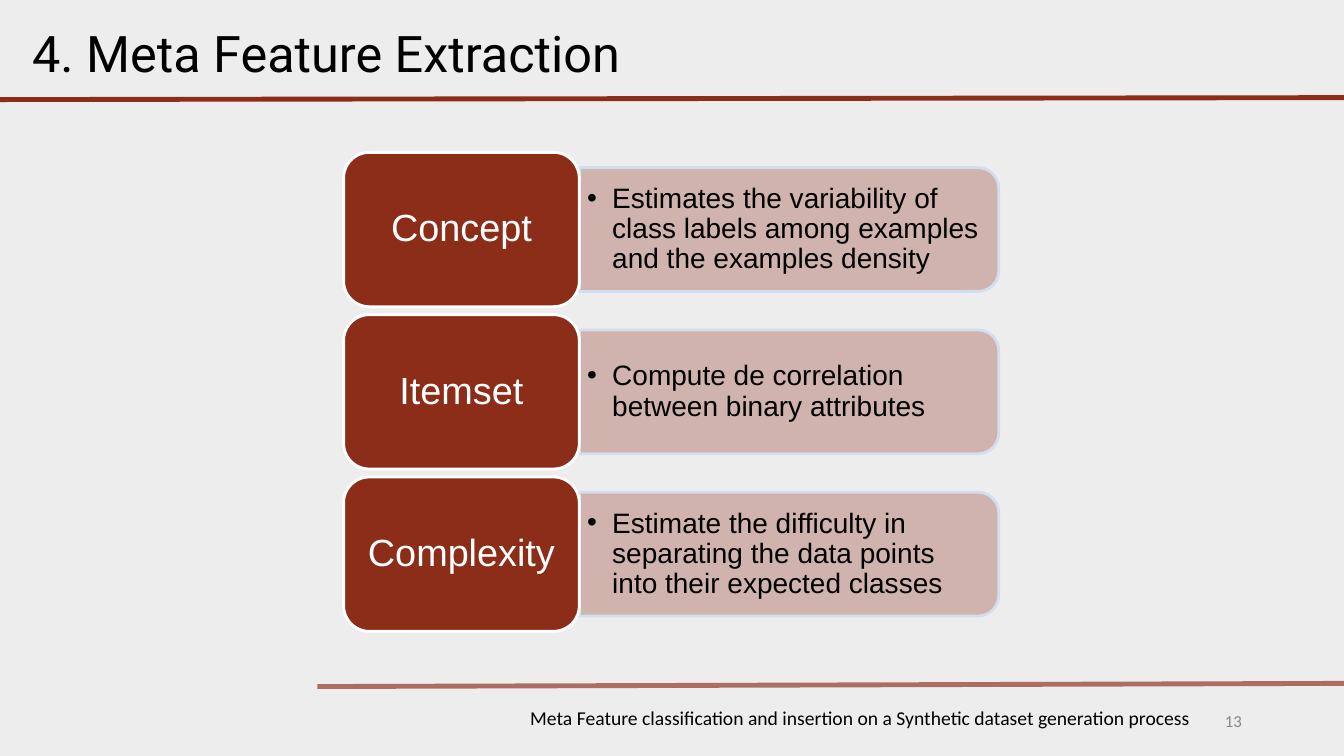
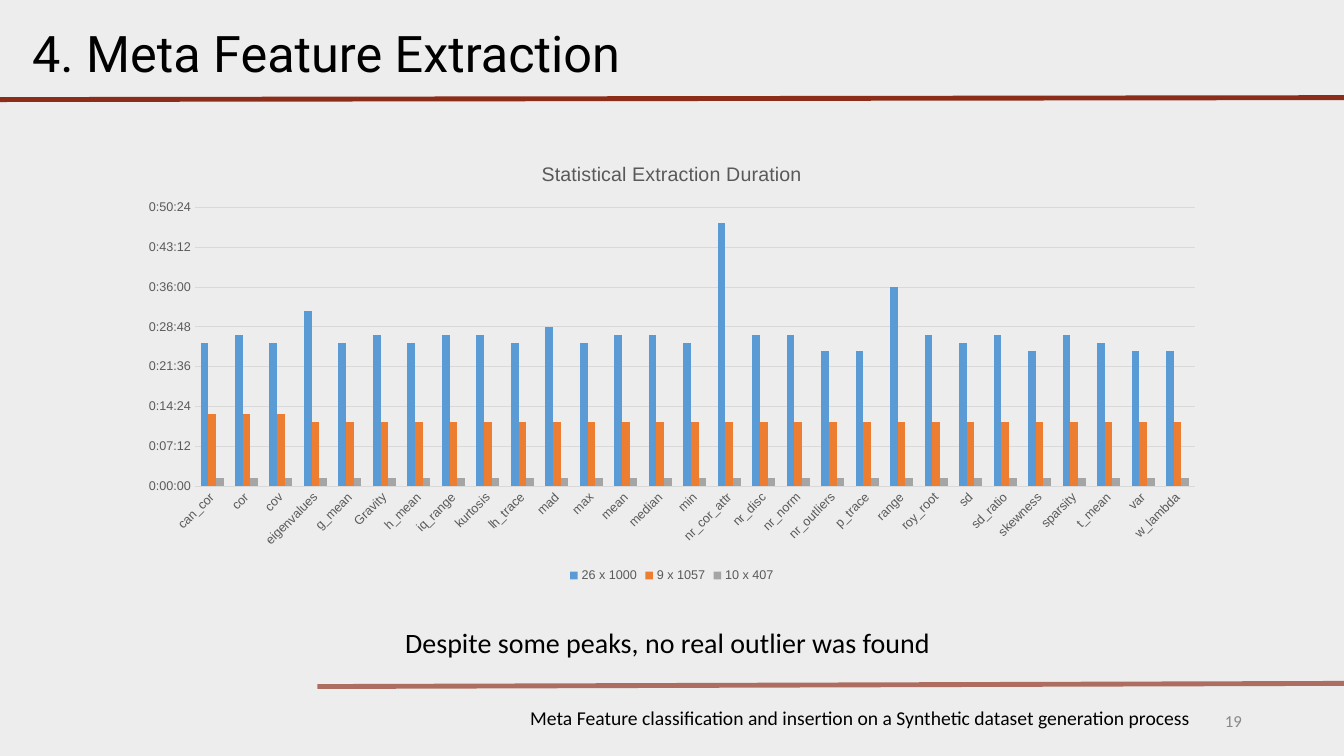
from dataclasses import dataclass
from typing import NamedTuple

from lxml.etree import SubElement
from pptx import Presentation
from pptx.chart.data import CategoryChartData
from pptx.dml.color import RGBColor as Rgb
from pptx.enum.chart import XL_CHART_TYPE as ChartType, XL_LEGEND_POSITION as LegendPosition
from pptx.enum.chart import XL_TICK_MARK as TickMark
from pptx.enum.shapes import MSO_CONNECTOR as Connector, MSO_SHAPE as Shape
from pptx.enum.text import MSO_ANCHOR as Anchor, MSO_AUTO_SIZE as AutoSize, PP_ALIGN as Align
from pptx.oxml.ns import qn
from pptx.util import Cm, Pt


@dataclass(frozen=True)
class Theme:
    """Colours, fonts and type sizes of the deck."""
    paper: str = "EDEDED"
    brick: str = "8C2D19"
    ink: str = "000000"
    white: str = "FFFFFF"
    pale_blue: str = "D2DEEF"
    muted: str = "888888"
    chart_text: str = "595959"
    grid: str = "D9D9D9"
    series: tuple = ("5B9BD5", "ED7D31", "A5A5A5")
    heading_font: str = "Roboto"
    body_font: str = "Calibri"
    diagram_font: str = "Arial"
    heading: int = 36
    card: int = 27
    body: int = 20
    footer: int = 14
    chart_title: int = 14
    number: int = 12
    chart_label: int = 9
    rule: float = 3.5
    outline: float = 2


class Box(NamedTuple):
    """A region in centimetres."""
    left: float
    top: float
    width: float
    height: float

    def lengths(self):
        """Return the four sides as slide lengths."""
        return [Cm(side) for side in self]


THEME = Theme()
SLIDE = Box(0, 0, 33.87, 19.05)
HEADING = "4. Meta Feature Extraction"
FOOTER = "Meta Feature classification and insertion on a Synthetic dataset generation process"
GROUPS = (
    ("Concept", "Estimates the variability of class labels among examples and the examples density"),
    ("Itemset", "Compute de correlation between binary attributes"),
    ("Complexity", "Estimate the difficulty in separating the data points into their expected classes"),
)
MEASURES = (
    "can_cor cor cov eigenvalues g_mean Gravity h_mean iq_range kurtosis lh_trace mad max mean "
    "median min nr_cor_attr nr_disc nr_norm nr_outliers p_trace range roy_root sd sd_ratio "
    "skewness sparsity t_mean var w_lambda"
).split()
DURATIONS = {
    "26 x 1000": (
        0.018, 0.019, 0.018, 0.022, 0.018, 0.019, 0.018, 0.019, 0.019, 0.018,
        0.02, 0.018, 0.019, 0.019, 0.018, 0.033, 0.019, 0.019, 0.017, 0.017,
        0.025, 0.019, 0.018, 0.019, 0.017, 0.019, 0.018, 0.017, 0.017),
    "9 x 1057": [0.009] * 3 + [0.008] * 26,
    "10 x 407": [0.001] * 29,
}


def assign(target, **formats):
    """Set each format value on the target."""
    for name, value in formats.items():
        setattr(target, name, value)


def style_font(font, face, size, color):
    """Set face, size and colour of a font."""
    assign(font, name=face, size=Pt(size), bold=False)
    font.color.rgb = Rgb.from_string(color)


def style_line(line, color, width):
    """Set colour and width of a line."""
    line.color.rgb = Rgb.from_string(color)
    line.width = Pt(width)


def fade(properties, percent):
    """Make the first solid colour below the properties translucent."""
    color = next(properties.iter(qn("a:srgbClr")))
    SubElement(color, qn("a:alpha"), val=str(percent * 1000))


def write(shape, text, face, size, color, align=Align.LEFT, anchor=Anchor.TOP,
          margins=(0.25, 0.13), spacing=1.0, bullet_indent=0):
    """Write one formatted paragraph into a shape."""
    frame = shape.text_frame
    side, edge = (Cm(margin) for margin in margins)
    assign(frame, text=text, word_wrap=True, auto_size=AutoSize.NONE, vertical_anchor=anchor,
           margin_left=side, margin_right=side, margin_top=edge, margin_bottom=edge)
    paragraph = frame.paragraphs[0]
    assign(paragraph, alignment=align, line_spacing=spacing)
    if bullet_indent:
        properties = paragraph._p.get_or_add_pPr()
        properties.set("marL", str(Cm(bullet_indent)))
        properties.set("indent", str(-Cm(bullet_indent)))
        SubElement(properties, qn("a:buFont"), typeface="Arial")
        SubElement(properties, qn("a:buChar"), char="•")
    style_font(paragraph.runs[0].font, face, size, color)


def add_text(slide, box, text, *style, **layout):
    """Add a text box with one paragraph."""
    write(slide.shapes.add_textbox(*box.lengths()), text, *style, **layout)


def add_panel(slide, kind, box, fill, outline):
    """Add a filled and outlined shape."""
    panel = slide.shapes.add_shape(kind, *box.lengths())
    panel.shadow.inherit = False
    panel.fill.solid()
    panel.fill.fore_color.rgb = Rgb.from_string(fill)
    style_line(panel.line, outline, THEME.outline)
    return panel


def add_rule(slide, left, start, end, opacity=100):
    """Draw a slightly slanted rule to the right slide edge."""
    rule = slide.shapes.add_connector(
        Connector.STRAIGHT, Cm(left), Cm(start), Cm(SLIDE.width), Cm(end))
    style_line(rule.line, THEME.brick, THEME.rule)
    properties = rule._element.spPr
    if opacity < 100:
        fade(properties, opacity)
    SubElement(properties, qn("a:effectLst"))


def add_framed_slide(deck, number):
    """Add a slide with heading, rules, footer and number."""
    slide = deck.slides.add_slide(deck.slide_layouts[5])
    heading = slide.shapes.title
    left, top, width, height = Box(0.56, 0.43, 32.74, 1.8).lengths()
    assign(heading, left=left, top=top, width=width, height=height)
    write(heading, HEADING, THEME.heading_font, THEME.heading, THEME.ink)
    add_rule(slide, 0, 2.51, 2.46)
    add_rule(slide, 8, 17.3, 17.22, opacity=65)
    add_text(slide, Box(23.93, 17.65, 7.62, 1.02), str(number), THEME.body_font, THEME.number,
             THEME.muted, align=Align.RIGHT, anchor=Anchor.MIDDLE)
    add_text(slide, Box(11.18, 17.65, 21, 1.02), FOOTER, THEME.body_font, THEME.footer,
             THEME.ink, align=Align.CENTER)
    return slide


def add_group_row(slide, box, name, detail):
    """Add a name card and the bar that explains it."""
    card = Box(box.left, box.top, 5.94, box.height)
    bar_left, bar_width, bar_height = box.left + card.width, box.width - card.width, 3.12
    middle = box.top + box.height / 2
    upright = Box(bar_left + (bar_width - bar_height) / 2, middle - bar_width / 2,
                  bar_height, bar_width)
    bar = add_panel(slide, Shape.ROUND_2_SAME_RECTANGLE, upright, THEME.brick, THEME.pale_blue)
    bar.rotation = 90
    fade(bar._element.spPr, 30)
    add_text(slide, Box(bar_left, middle - 1.41, bar_width - 0.15, 2.82), detail,
             THEME.diagram_font, THEME.body, THEME.ink, anchor=Anchor.MIDDLE,
             margins=(0.2, 0.1), spacing=0.9, bullet_indent=0.63)
    label = add_panel(slide, Shape.ROUNDED_RECTANGLE, card, THEME.brick, THEME.white)
    write(label, name, THEME.diagram_font, THEME.card, THEME.white, align=Align.CENTER,
          anchor=Anchor.MIDDLE, margins=(0.28, 0.15), spacing=0.9)


def add_group_list(slide, box):
    """Stack the meta feature groups evenly in the box."""
    row_height = 3.89
    pitch = (box.height - row_height) / (len(GROUPS) - 1)
    for index, (name, detail) in enumerate(GROUPS):
        row = Box(box.left, box.top + index * pitch, box.width, row_height)
        add_group_row(slide, row, name, detail)


def style_axes(chart):
    """Format the measure axis and the duration axis."""
    measures, durations = chart.category_axis, chart.value_axis
    for axis in (measures, durations):
        assign(axis, major_tick_mark=TickMark.NONE, minor_tick_mark=TickMark.NONE)
        style_font(axis.tick_labels.font, THEME.diagram_font, THEME.chart_label, THEME.chart_text)
    style_line(measures.format.line, THEME.grid, 0.75)
    measures._element.find(qn("c:txPr")).find(qn("a:bodyPr")).set("rot", "-2700000")
    assign(durations, minimum_scale=0, maximum_scale=0.035, major_unit=0.005,
           has_major_gridlines=True)
    assign(durations.tick_labels, number_format="h:mm:ss", number_format_is_linked=False)
    durations.format.line.fill.background()
    style_line(durations.major_gridlines.format.line, THEME.grid, 0.75)


def add_duration_chart(slide, box):
    """Add the clustered columns of extraction durations."""
    data = CategoryChartData(number_format="h:mm:ss")
    data.categories = MEASURES
    for name, values in DURATIONS.items():
        data.add_series(name, values)
    chart = slide.shapes.add_chart(ChartType.COLUMN_CLUSTERED, *box.lengths(), data).chart
    style_font(chart.font, THEME.diagram_font, 10, THEME.ink)
    assign(chart, has_title=True, has_legend=True)
    title = chart.chart_title
    title.include_in_layout = False
    title.text_frame.text = "Statistical Extraction Duration"
    style_font(title.text_frame.paragraphs[0].runs[0].font, THEME.diagram_font,
               THEME.chart_title, THEME.chart_text)
    assign(chart.legend, position=LegendPosition.BOTTOM, include_in_layout=False)
    style_font(chart.legend.font, THEME.diagram_font, THEME.chart_label, THEME.chart_text)
    assign(chart.plots[0], gap_width=150, overlap=0, vary_by_categories=False)
    for series, color in zip(chart.plots[0].series, THEME.series):
        series.format.fill.solid()
        series.format.fill.fore_color.rgb = Rgb.from_string(color)
    style_axes(chart)


def main():
    """Build and save the deck."""
    deck = Presentation()
    assign(deck, slide_width=Cm(SLIDE.width), slide_height=Cm(SLIDE.height))
    paper = deck.slide_master.background.fill
    paper.solid()
    paper.fore_color.rgb = Rgb.from_string(THEME.paper)
    add_group_list(add_framed_slide(deck, 13), Box(8.66, 3.84, 16.51, 12.07))
    durations = add_framed_slide(deck, 19)
    add_duration_chart(durations, Box(3.2, 3.61, 27.46, 11.18))
    add_text(durations, Box(9.96, 15.62, 14, 1.12),
             "Despite some peaks, no real outlier was found",
             THEME.body_font, THEME.body, THEME.ink)
    deck.save("out.pptx")


if __name__ == "__main__":
    main()
